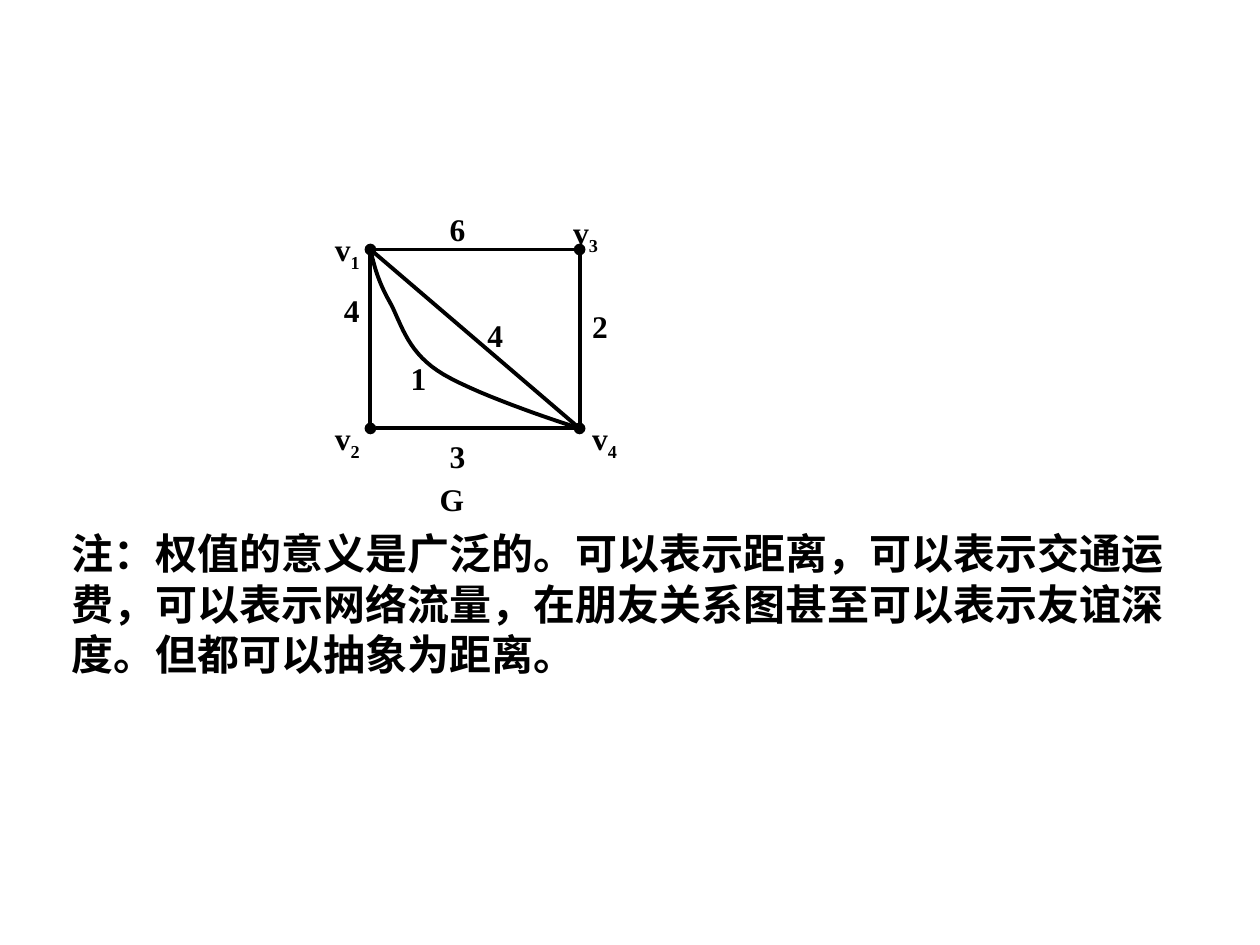
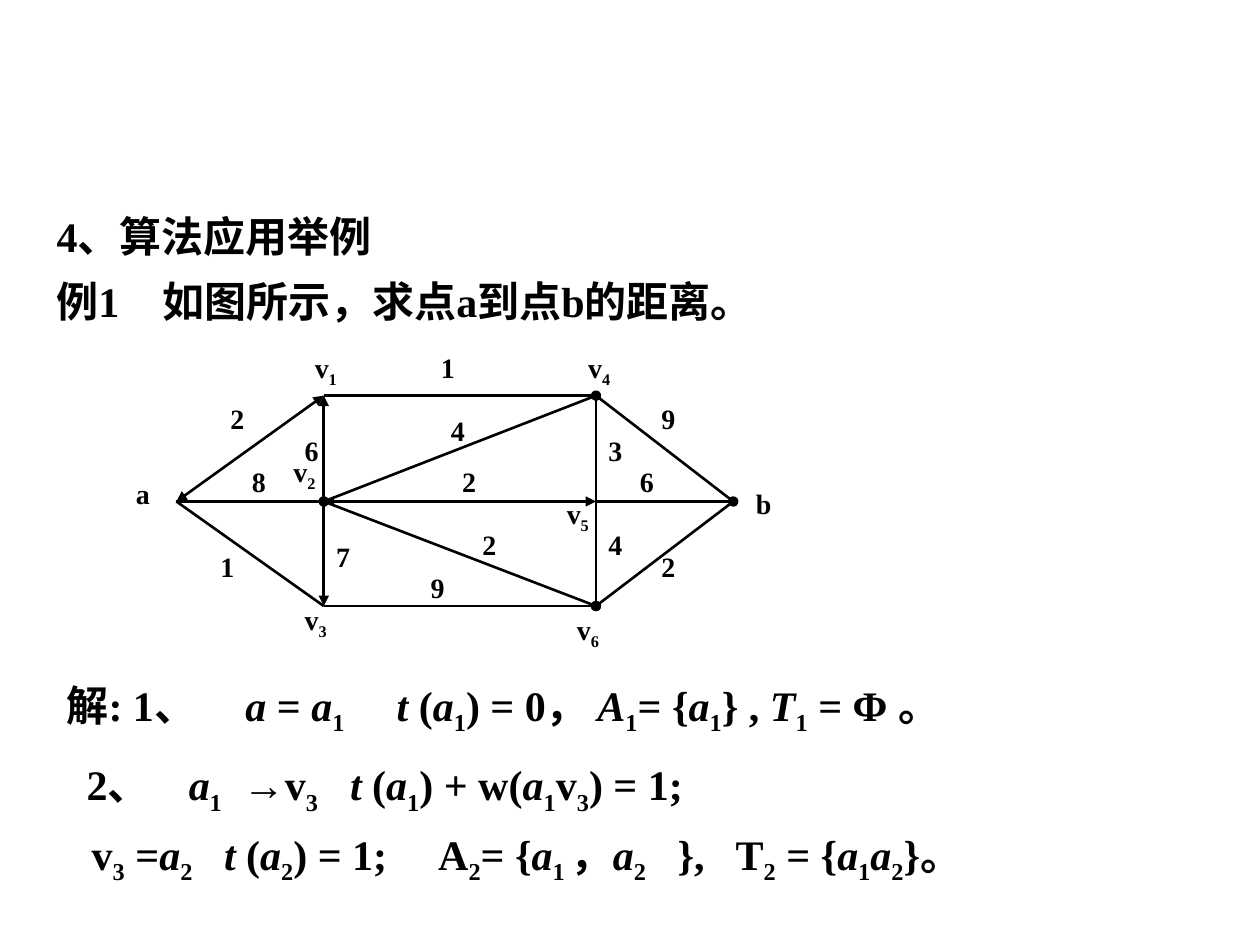
from dataclasses import dataclass
from itertools import groupby
from typing import NamedTuple

from lxml import etree
from pptx import Presentation
from pptx.dml.color import RGBColor
from pptx.enum import shapes, text
from pptx.oxml.ns import qn
from pptx.util import Inches, Pt


@dataclass(frozen=True)
class Theme:
    font: str = "Times New Roman"
    ink: RGBColor = RGBColor(0, 0, 0)
    paper: RGBColor = RGBColor(255, 255, 255)
    body: int = 24
    weight_label: int = 18
    route_label: int = 16


class Edge(NamedTuple):
    start: str
    end: str
    ends: str | None = None


class Label(NamedTuple):
    text: str
    x: float
    y: float


class Line(NamedTuple):
    text: str
    x: float
    y: float
    tabs: tuple[float, ...]


@dataclass(frozen=True)
class Graph:
    nodes: dict[str, tuple[float, float]]
    edges: list[Edge]
    labels: list[Label]
    stroke: float
    label_size: int
    label_width: float
    label_height: float


THEME = Theme()
SUBSCRIPT_DROP = "-25000"
SUBSCRIPT_ROOM = 0.04

LEFT, RIGHT, TOP, BOTTOM = 2.94, 4.6, 1.98, 3.4
WEIGHTED = Graph(
    nodes={"v1": (LEFT, TOP), "v2": (LEFT, BOTTOM),
           "v3": (RIGHT, TOP), "v4": (RIGHT, BOTTOM)},
    edges=[Edge("v1", "v2"), Edge("v1", "v3", "oval"), Edge("v3", "v4"),
           Edge("v2", "v4", "oval"), Edge("v1", "v4")],
    labels=[Label("v_2", 2.56, 3.28), Label("v_1", 2.56, 1.78),
            Label("v_4", 4.6, 3.28), Label("v_3", 4.45, 1.64),
            Label("4", 2.63, 2.26), Label("1", 3.16, 2.8),
            Label("4", 3.77, 2.46), Label("6", 3.47, 1.62),
            Label("2", 4.6, 2.39), Label("3", 3.47, 3.42),
            Label("G", 3.39, 3.76)],
    stroke=2.25, label_size=THEME.weight_label,
    label_width=0.62, label_height=0.4)

# Each Bezier piece starts where the previous one stops.
PARALLEL_EDGE = [((2.97, 2.11), (3.0, 2.23), (3.09, 2.39)),
                 ((3.18, 2.55), (3.22, 2.77), (3.47, 2.94)),
                 ((3.72, 3.11), (4.41, 3.34), (RIGHT, BOTTOM))]

COL_A, COL_1, COL_2, COL_B = 1.4, 2.57, 4.73, 5.82
ROW_1, ROW_2, ROW_3 = 3.14, 3.98, 4.81
ROUTES = Graph(
    nodes={"a": (COL_A, ROW_2), "b": (COL_B, ROW_2),
           "v1": (COL_1, ROW_1), "v2": (COL_1, ROW_2), "v3": (COL_1, ROW_3),
           "v4": (COL_2, ROW_1), "v5": (COL_2, ROW_2), "v6": (COL_2, ROW_3)},
    edges=[Edge("v1", "v4"), Edge("v1", "a", "triangle"), Edge("a", "v3"),
           Edge("v1", "v3", "triangle"), Edge("a", "v2"), Edge("v4", "v6"),
           Edge("v3", "v6"), Edge("v2", "v5", "triangle"), Edge("v5", "b"),
           Edge("v4", "b"), Edge("b", "v6", "oval"), Edge("v4", "v2", "oval"),
           Edge("v2", "v6", "oval")],
    labels=[Label("8", 1.9, 3.64), Label("1", 1.65, 4.31),
            Label("2", 1.73, 3.14), Label("6", 2.32, 3.39),
            Label("1", 3.4, 2.73), Label("4", 3.48, 3.23),
            Label("2", 3.57, 3.64), Label("2", 3.73, 4.14),
            Label("7", 2.57, 4.23), Label("9", 3.32, 4.48),
            Label("2", 5.15, 4.31), Label("4", 4.73, 4.14),
            Label("6", 4.98, 3.64), Label("9", 5.15, 3.14),
            Label("3", 4.73, 3.39), Label("a", 0.98, 3.73),
            Label("v_1", 2.4, 2.73), Label("v_2", 2.23, 3.56),
            Label("v_3", 2.32, 4.73), Label("v_4", 4.57, 2.73),
            Label("v_5", 4.4, 3.89), Label("v_6", 4.48, 4.81),
            Label("b", 5.9, 3.81)],
    stroke=1.5, label_size=THEME.route_label,
    label_width=0.43, label_height=0.37)

SOLUTION = [
    Line("解: 1、\t*a* = *a*_1\t*t* (*a*_1) = 0， *A*_1= {*a*_1} , *T*_1 = Φ 。",
         0.43, 5.34, (1.42, 2.62)),
    Line("2、\t*a*_1\t→v_3\t*t* (*a*_1) + w(*a*_1v_3) = 1;",
         0.59, 5.97, (0.81, 1.24, 2.09)),
    Line("v_3 =*a*_2\t*t* (*a*_2) = 1;\tA_2= {*a*_1_ ，*a*_2\t},\tT_2 = {*a*_1*a*_2}。",
         0.63, 6.52, (1.05, 2.75, 4.65, 5.11)),
]


def parse_markup(source: str) -> list[tuple[str, bool, bool]]:
    """Split into (text, italic, subscript): * toggles italic, _ lowers one character."""
    marked, italic, lowered = [], False, False
    for char in source:
        if char == "*":
            italic = not italic
        elif char == "_":
            lowered = True
        else:
            marked.append((char, italic, lowered))
            lowered = False
    return [("".join(item[0] for item in group), *style)
            for style, group in groupby(marked, key=lambda item: item[1:])]


def write(sp, source: str, *, size: int = THEME.body,
          anchor=text.MSO_ANCHOR.TOP, tabs: tuple[float, ...] = ()) -> None:
    tf = sp.text_frame
    tf.word_wrap = True
    tf.auto_size = text.MSO_AUTO_SIZE.SHAPE_TO_FIT_TEXT
    tf.vertical_anchor = anchor
    p = tf.paragraphs[0]
    p.alignment = text.PP_ALIGN.LEFT
    if tabs:
        stops = etree.SubElement(p._p.get_or_add_pPr(), qn("a:tabLst"))
        for stop in tabs:
            etree.SubElement(stops, qn("a:tab"), pos=str(Inches(stop)), algn="l")
    for content, italic, lowered in parse_markup(source):
        r = p.add_run()
        r.text = content
        r.font.name = THEME.font
        r.font.size = Pt(size)
        r.font.bold = True
        r.font.italic = italic
        r.font.color.rgb = THEME.ink
        if lowered:
            r.font._element.set("baseline", SUBSCRIPT_DROP)


def add_text(s, source: str, x: float, y: float, width: float, height: float,
             **style) -> None:
    box = s.shapes.add_textbox(Inches(x), Inches(y), Inches(width), Inches(height))
    write(box, source, **style)


def add_edge(s, graph: Graph, edge: Edge) -> None:
    points = (*graph.nodes[edge.start], *graph.nodes[edge.end])
    line = s.shapes.add_connector(shapes.MSO_CONNECTOR.STRAIGHT,
                                  *(Inches(value) for value in points))
    line.line.color.rgb = THEME.ink
    line.line.width = Pt(graph.stroke)
    if edge.ends:
        ln = line.line._get_or_add_ln()
        for tag in ("a:headEnd", "a:tailEnd"):
            etree.SubElement(ln, qn(tag), type=edge.ends)
    etree.SubElement(line._element.spPr, qn("a:effectLst"))


def add_graph(s, graph: Graph) -> None:
    for edge in graph.edges:
        add_edge(s, graph, edge)
    for label in graph.labels:
        room = SUBSCRIPT_ROOM if "_" in label.text else 0
        add_text(s, label.text, label.x, label.y, graph.label_width,
                 graph.label_height + room, size=graph.label_size)


def add_curve(s, start: tuple[float, float], pieces: list, stroke: float,
              steps: int = 16) -> None:
    """Draw joined cubic Bezier pieces as one open outline."""
    points, origin = [], start
    for c1, c2, end in pieces:
        for step in range(1, steps + 1):
            t = step / steps
            points.append(tuple(
                Inches((1 - t) ** 3 * p0 + 3 * (1 - t) ** 2 * t * p1
                       + 3 * (1 - t) * t ** 2 * p2 + t ** 3 * p3)
                for p0, p1, p2, p3 in zip(origin, c1, c2, end)))
        origin = end
    builder = s.shapes.build_freeform(*(Inches(value) for value in start))
    builder.add_line_segments(points, close=False)
    sp = builder.convert_to_shape()
    sp.shadow.inherit = False
    sp.fill.background()
    sp.line.color.rgb = THEME.ink
    sp.line.width = Pt(stroke)


def add_slide(prs, layout: int):
    s = prs.slides.add_slide(prs.slide_layouts[layout])
    s.background.fill.solid()
    s.background.fill.fore_color.rgb = THEME.paper
    return s


def add_weights_slide(prs) -> None:
    s = add_slide(prs, 6)
    add_graph(s, WEIGHTED)
    add_curve(s, WEIGHTED.nodes["v1"], PARALLEL_EDGE, WEIGHTED.stroke)
    add_text(s, "注：权值的意义是广泛的。可以表示距离，可以表示交通运费，"
                "可以表示网络流量，在朋友关系图甚至可以表示友谊深度。"
                "但都可以抽象为距离。", 0.47, 4.14, 9, 1.3)


def add_example_slide(prs) -> None:
    s = add_slide(prs, 5)
    title = s.shapes.title
    title.left, title.top = Inches(0.35), Inches(1.62)
    title.width, title.height = Inches(9), Inches(0.5)
    write(title, "4、算法应用举例")
    add_text(s, "例1\t如图所示，求点a到点b的距离。", 0.35, 2.14, 9, 0.5, tabs=(0.84,))
    add_graph(s, ROUTES)
    for line in SOLUTION:
        add_text(s, line.text, line.x, line.y, 7.83, 0.56,
                 anchor=text.MSO_ANCHOR.MIDDLE, tabs=line.tabs)


def main() -> None:
    prs = Presentation()
    prs.slide_width, prs.slide_height = Inches(10), Inches(7.5)
    add_weights_slide(prs)
    add_example_slide(prs)
    prs.save("out.pptx")


if __name__ == "__main__":
    main()
